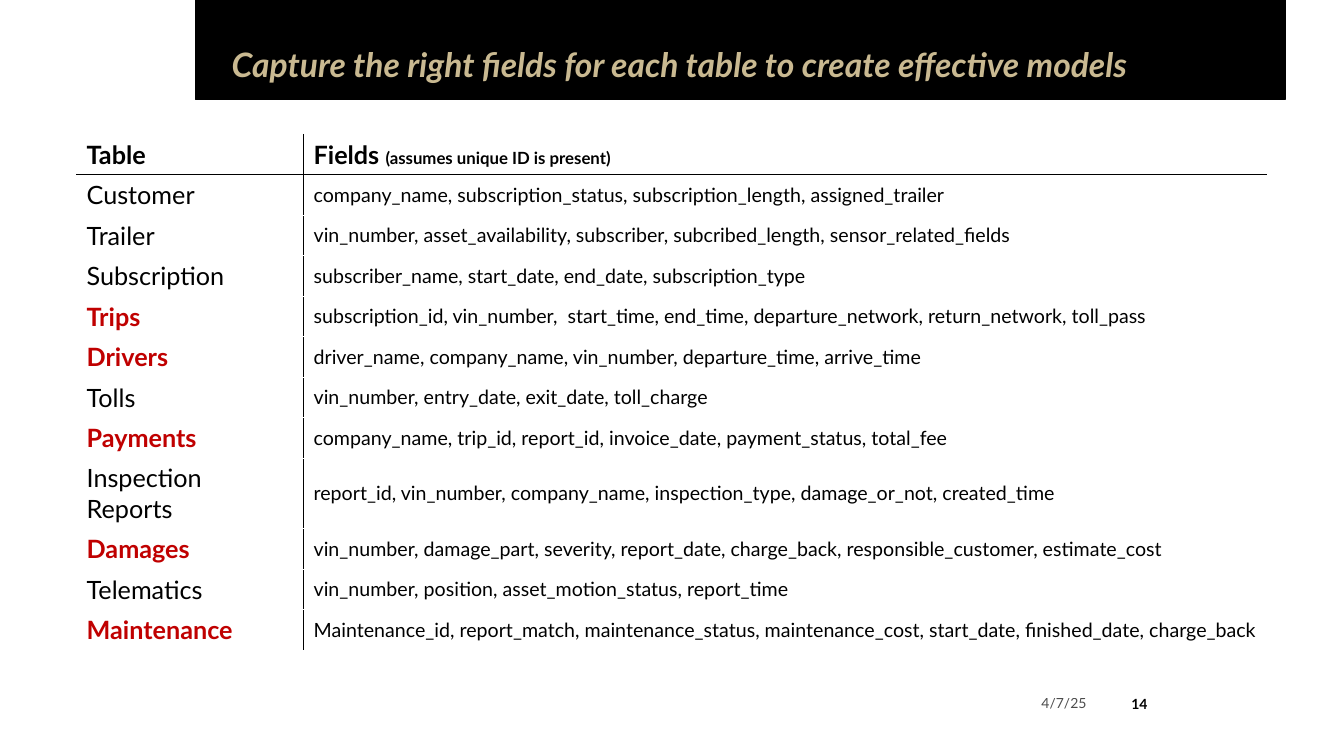
from dataclasses import dataclass

from lxml import etree
from pptx import Presentation
from pptx import util as u
from pptx.dml import color
from pptx.enum import shapes, text
from pptx.oxml import ns

HUES = {"ink": "000000", "paper": "FFFFFF", "gold": "C9B991", "red": "C00000"}
FACE = "Lato"
RIM = (0.05, 0.13, 0.05, 0.13)
PAD = (0.25, 0.13, 0.25, 0.13)


@dataclass
class Label:
    words: str
    box: tuple
    size: int
    hue: str = "ink"
    kind: int = shapes.MSO_SHAPE.RECTANGLE
    bold: bool = False
    slant: bool = False
    align: int = text.PP_ALIGN.LEFT
    anchor: int = text.MSO_ANCHOR.MIDDLE
    inset: tuple = PAD
    space: float = 1.0
    alpha: int = 100


@dataclass
class Entry:
    name: str
    fields: str
    key: bool = False


LABELS = [
    Label("Capture the right fields for each table to create effective models",
          (5.84, 1.22, 24.87, 0.91), 24, "gold", bold=True, slant=True,
          anchor=text.MSO_ANCHOR.TOP, inset=(0, 0, 0, 0), space=0.9),
    Label("4/7/25", (24.79, 17.27, 2.84, 0.89), 10,
          align=text.PP_ALIGN.RIGHT, alpha=70),
    Label("14", (28.04, 17.22, 1.35, 1.02), 10, kind=shapes.MSO_SHAPE.OVAL,
          bold=True, align=text.PP_ALIGN.CENTER, inset=RIM),
]

ENTRIES = [
    Entry("Customer", "company_name, subscription_status, subscription_length, assigned_trailer"),
    Entry("Trailer", "vin_number, asset_availability, subscriber, subcribed_length, sensor_related_fields"),
    Entry("Subscription", "subscriber_name, start_date, end_date, subscription_type"),
    Entry("Trips", "subscription_id, vin_number,  start_time, end_time, departure_network, return_network, toll_pass", True),
    Entry("Drivers", "driver_name, company_name, vin_number, departure_time, arrive_time", True),
    Entry("Tolls", "vin_number, entry_date, exit_date, toll_charge"),
    Entry("Payments", "company_name, trip_id, report_id, invoice_date, payment_status, total_fee", True),
    Entry("Inspection Reports", "report_id, vin_number, company_name, inspection_type, damage_or_not, created_time"),
    Entry("Damages", "vin_number, damage_part, severity, report_date, charge_back, responsible_customer, estimate_cost", True),
    Entry("Telematics", "vin_number, position, asset_motion_status, report_time"),
    Entry("Maintenance", "Maintenance_id, report_match, maintenance_status, maintenance_cost, start_date, finished_date, charge_back", True),
]


def rgb(hue: str) -> color.RGBColor:
    return color.RGBColor.from_string(HUES[hue])


def fade(node, alpha: int) -> None:
    if alpha < 100:
        tint = node.find(".//" + ns.qn("a:srgbClr"))
        etree.SubElement(tint, ns.qn("a:alpha"), val=str(alpha * 1000))


def style(run, size: int, hue: str, bold: bool = False, slant: bool = False) -> None:
    font = run.font
    font.name, font.size = FACE, u.Pt(size)
    font.bold, font.italic = bold, slant
    font.color.rgb = rgb(hue)


def place(slide, kind: int, box: tuple):
    shape = slide.shapes.add_shape(kind, *map(u.Cm, box))
    shape.shadow.inherit = False
    return shape


def draw_label(slide, label: Label) -> None:
    shape = place(slide, label.kind, label.box)
    shape.fill.background()
    shape.line.fill.background()
    frame = shape.text_frame
    frame.text = label.words
    frame.word_wrap = True
    frame.vertical_anchor = label.anchor
    (frame.margin_left, frame.margin_top,
     frame.margin_right, frame.margin_bottom) = map(u.Cm, label.inset)
    para = frame.paragraphs[0]
    para.alignment, para.line_spacing = label.align, label.space
    run = para.runs[0]
    style(run, label.size, label.hue, label.bold, label.slant)
    fade(run.font._element, label.alpha)


def edge(cell, side: str, hue: str, width: float) -> None:
    props = cell._tc.get_or_add_tcPr()
    line = etree.SubElement(props, ns.qn("a:ln" + side), w=str(u.Pt(width)))
    fill = etree.SubElement(line, ns.qn("a:solidFill"))
    etree.SubElement(fill, ns.qn("a:srgbClr"), val=HUES[hue])


def dress(cell, row: int, col: int) -> None:
    dark = {"R" if col == 0 else "L"}
    if row == 0:
        dark.add("B")
    if row == 1:
        dark.add("T")
    for side in "LRTB":
        edge(cell, side, *(("ink", 1) if side in dark else ("paper", 0.5)))
    if row and row % 2 == 0:
        cell.fill.background()
    else:
        cell.fill.solid()
        cell.fill.fore_color.rgb = rgb("paper")
        fade(cell._tc.tcPr.find(ns.qn("a:solidFill")), 40 if row else 100)
    cell.vertical_anchor = text.MSO_ANCHOR.MIDDLE if row else text.MSO_ANCHOR.TOP


def draw_table(slide) -> None:
    wide, tall, count = (5.72, 24.28), 1.02, len(ENTRIES) + 1
    box = (1.93, 3.38, sum(wide), tall * count)
    table = slide.shapes.add_table(count, len(wide), *map(u.Cm, box)).table
    table.first_row = table.horz_banding = False
    for col, width in zip(table.columns, wide):
        col.width = u.Cm(width)
    for row in table.rows:
        row.height = u.Cm(tall)
    for row, entry in enumerate([Entry("Table", "Fields "), *ENTRIES]):
        head = row == 0
        cells = ((entry.name, 18, "red" if entry.key else "ink", head or entry.key),
                 (entry.fields, 18 if head else 14, "ink", head))
        for col, (words, size, hue, bold) in enumerate(cells):
            cell = table.cell(row, col)
            dress(cell, row, col)
            para = cell.text_frame.paragraphs[0]
            para.text = words
            style(para.runs[0], size, hue, bold)
    note = table.cell(0, 1).text_frame.paragraphs[0].add_run()
    note.text = "(assumes unique ID is present)"
    style(note, 12, "ink", True)


def main() -> None:
    deck = Presentation()
    deck.slide_width, deck.slide_height = u.Cm(33.87), u.Cm(19.05)
    slide = deck.slides.add_slide(deck.slide_layouts[6])
    band = place(slide, shapes.MSO_SHAPE.RECTANGLE, (4.93, 0, 27.46, 2.51))
    band.fill.solid()
    band.fill.fore_color.rgb = band.line.color.rgb = rgb("ink")
    band.line.width = u.Pt(1)
    for label in LABELS:
        draw_label(slide, label)
    draw_table(slide)
    deck.save("out.pptx")


if __name__ == "__main__":
    main()
